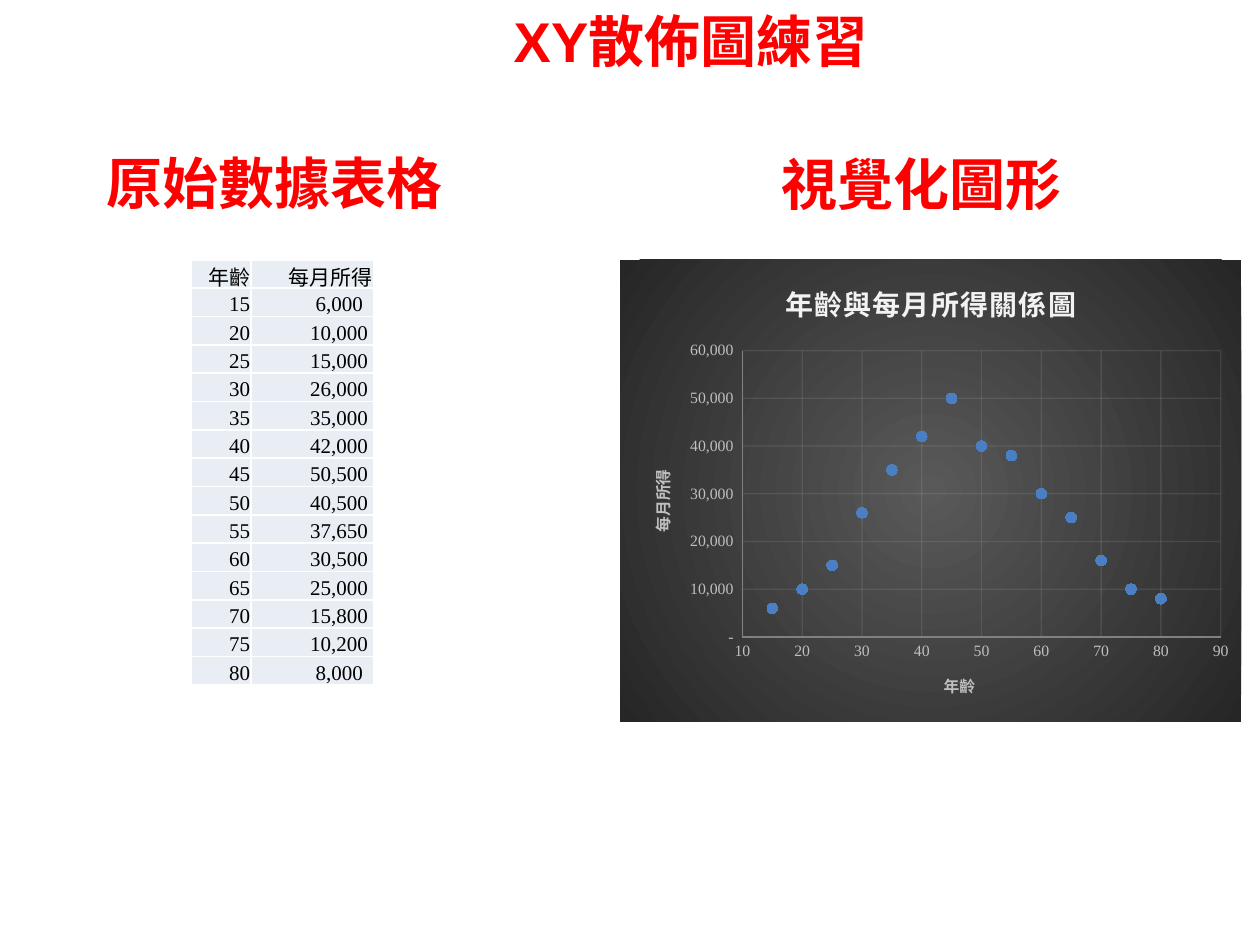
from dataclasses import dataclass
from typing import Any, NamedTuple

from pptx import Presentation, oxml, util as u
from pptx.chart import data
from pptx.dml import color
from pptx.enum import chart as charts, text
from pptx.oxml import ns

Pt = u.Pt


@dataclass(frozen=True)
class Theme:
    """Colours, fonts and type sizes."""
    heading: str = "FF0000"
    ink: str = "000000"
    cell: str = "E9EDF4"
    border: str = "FFFFFF"
    chart_title: str = "F2F2F2"
    axis_text: str = "BFBFBF"
    axis_line: str = "808080"
    grid: str = "F2F2F2"
    marker: str = "4A80C3"
    glow: str = "595959"
    shade: str = "262626"
    heading_font: str = "Arial"
    body_font: str = "Times New Roman"
    heading_size: float = 32
    table_size: float = 12
    title_size: float = 16
    axis_size: float = 9


class Heading(NamedTuple):
    """A heading and its box in points."""
    words: str
    left: float
    top: float
    width: float


class AxisPlan(NamedTuple):
    """Title, range and number format of one axis."""
    title: str
    low: float
    high: float
    step: float
    number_format: str


THEME = Theme()
AGE, INCOME = "年齡", "每月所得"
HEADINGS = [
    Heading("XY散佈圖練習", 286.5, 0, 357),
    Heading("原始數據表格", 54, 81.5, 215),
    Heading("視覺化圖形", 439.5, 82, 215),
]
AGES = range(15, 85, 5)
INCOMES = [6000, 10000, 15000, 26000, 35000, 42000, 50500,
           40500, 37650, 30500, 25000, 15800, 10200, 8000]
AGE_AXIS = AxisPlan(AGE, 10, 90, 10, "0")
INCOME_AXIS = AxisPlan(INCOME, 0, 60000, 10000, '#,##0_);(#,##0);"-"_)')


def rgb(code: str) -> color.RGBColor:
    """Turn a hex code into a colour."""
    return color.RGBColor.from_string(code)


def apply(target: Any, **values: Any) -> None:
    """Set each named attribute on the target."""
    for key, value in values.items():
        setattr(target, key, value)


def style_font(font: Any, name: str, size: float, code: str, bold: bool = False) -> None:
    """Give a font its face, size, weight and colour."""
    apply(font, name=name, size=Pt(size), bold=bold)
    font.color.rgb = rgb(code)


def add_heading(slide: Any, heading: Heading) -> None:
    """Add one red heading."""
    box = slide.shapes.add_textbox(*map(Pt, (heading.left, heading.top, heading.width, 46)))
    frame = box.text_frame
    apply(frame, word_wrap=True, auto_size=text.MSO_AUTO_SIZE.SHAPE_TO_FIT_TEXT)
    run = frame.paragraphs[0].add_run()
    run.text = heading.words
    style_font(run.font, THEME.heading_font, THEME.heading_size, THEME.heading, True)


def fill_cell(cell: Any, words: str, right_margin: float) -> None:
    """Write a right-aligned cell with white borders."""
    apply(cell, text=words, vertical_anchor=text.MSO_ANCHOR.BOTTOM,
          margin_left=Pt(0.5), margin_right=Pt(right_margin),
          margin_top=Pt(0.5), margin_bottom=0)
    paragraph = cell.text_frame.paragraphs[0]
    paragraph.alignment = text.PP_ALIGN.RIGHT
    style_font(paragraph.runs[0].font, THEME.body_font, THEME.table_size, THEME.ink)
    properties = cell._tc.get_or_add_tcPr()
    for side in "LRTB":
        properties.append(oxml.parse_xml(
            f'<a:ln{side} {ns.nsdecls("a")} w="12700"><a:solidFill>'
            f'<a:srgbClr val="{THEME.border}"/></a:solidFill></a:ln{side}>'))
    cell.fill.solid()
    cell.fill.fore_color.rgb = rgb(THEME.cell)


def right_margin(row: int, column: int, words: str) -> float:
    """Indent incomes from the right, four-digit ones a little more."""
    if not (row and column):
        return 0.5
    return 6 if len(words) < len("10,000") else 3.2


def add_income_table(slide: Any) -> None:
    """Add the table of ages and monthly incomes."""
    rows = [(AGE, INCOME)] + [(str(a), f"{i:,}") for a, i in zip(AGES, INCOMES)]
    row_height = 16.2
    table = slide.shapes.add_table(
        len(rows), 2, Pt(109.4), Pt(148.5), Pt(104), Pt(row_height * len(rows))).table
    apply(table, first_row=False, horz_banding=False)
    for column, width in zip(table.columns, (34, 70)):
        column.width = Pt(width)
    for r, words in enumerate(rows):
        table.rows[r].height = Pt(row_height)
        for c, word in enumerate(words):
            fill_cell(table.cell(r, c), word, right_margin(r, c, word))


def set_chart_title(owner: Any, words: str, size: float, code: str) -> Any:
    """Title a chart or an axis and return the run."""
    owner.has_title = True
    frame = (owner.chart_title if hasattr(owner, "chart_title") else owner.axis_title).text_frame
    run = frame.paragraphs[0].add_run()
    run.text = words
    style_font(run.font, THEME.body_font, size, code, True)
    return run


def style_axis(axis: Any, plan: AxisPlan) -> None:
    """Set the scale, labels, title and faint grid of an axis."""
    apply(axis, minimum_scale=plan.low, maximum_scale=plan.high, major_unit=plan.step,
          major_tick_mark=charts.XL_TICK_MARK.NONE, minor_tick_mark=charts.XL_TICK_MARK.NONE,
          has_major_gridlines=True)
    apply(axis.tick_labels, number_format=plan.number_format, number_format_is_linked=False)
    style_font(axis.tick_labels.font, THEME.body_font, THEME.axis_size, THEME.axis_text)
    set_chart_title(axis, plan.title, THEME.axis_size, THEME.axis_text)
    grid = axis.major_gridlines.format.line
    for line, code in ((axis.format.line, THEME.axis_line), (grid, THEME.grid)):
        line.width = Pt(0.75)
        line.color.rgb = rgb(code)
    shade = grid._ln.find(".//" + ns.qn("a:srgbClr"))
    shade.append(oxml.parse_xml(f'<a:alpha {ns.nsdecls("a")} val="10000"/>'))


def set_chart_area(chart: Any) -> None:
    """Give the chart square corners, a radial fill and a fixed plot area."""
    space = chart._chartSpace
    space.find(ns.qn("c:chart")).addprevious(
        oxml.parse_xml(f'<c:roundedCorners {ns.nsdecls("c")} val="0"/>'))
    stops = "".join(f'<a:gs pos="{place}"><a:srgbClr val="{code}"/></a:gs>'
                    for place, code in ((0, THEME.glow), (100000, THEME.shade)))
    space.find(ns.qn("c:chart")).addnext(oxml.parse_xml(
        f'<c:spPr {ns.nsdecls("c", "a")}><a:gradFill><a:gsLst>{stops}</a:gsLst>'
        '<a:path path="circle"><a:fillToRect l="50000" t="50000" r="50000" b="50000"/></a:path>'
        '</a:gradFill><a:ln><a:noFill/></a:ln></c:spPr>'))
    plot_area = space.find(".//" + ns.qn("c:plotArea"))
    for layout in plot_area.findall(ns.qn("c:layout")):
        plot_area.remove(layout)
    modes = '<c:layoutTarget val="inner"/><c:xMode val="edge"/><c:yMode val="edge"/>'
    sizes = "".join(f'<c:{key} val="{share}"/>'
                    for key, share in dict(x=0.197, y=0.197, w=0.77, h=0.62).items())
    plot_area.insert(0, oxml.parse_xml(
        f'<c:layout {ns.nsdecls("c")}><c:manualLayout>{modes}{sizes}</c:manualLayout></c:layout>'))


def add_income_chart(slide: Any) -> None:
    """Add the scatter chart of income by age, to the nearest thousand."""
    points = data.XyChartData()
    incomes = points.add_series(INCOME)
    for age, income in zip(AGES, INCOMES):
        incomes.add_data_point(age, round(income, -3))
    chart = slide.shapes.add_chart(
        charts.XL_CHART_TYPE.XY_SCATTER, Pt(354.3), Pt(148.4), Pt(355), Pt(264), points).chart
    style_font(chart.font, THEME.body_font, 10, THEME.ink)
    chart.has_legend = False
    title = set_chart_title(chart, f"{AGE}與{INCOME}關係圖", THEME.title_size, THEME.chart_title)
    title.font._element.set("spc", "100")
    style_axis(chart.category_axis, AGE_AXIS)
    style_axis(chart.value_axis, INCOME_AXIS)
    chart.plots[0].vary_by_categories = False
    series = chart.plots[0].series[0]
    series.format.line.fill.background()
    apply(series.marker, style=charts.XL_MARKER_STYLE.CIRCLE, size=6)
    series.marker.format.fill.solid()
    series.marker.format.fill.fore_color.rgb = rgb(THEME.marker)
    series.marker.format.line.fill.background()
    set_chart_area(chart)


def main() -> None:
    """Build and save the slide."""
    deck = Presentation()
    apply(deck, slide_width=Pt(720), slide_height=Pt(540))
    slide = deck.slides.add_slide(deck.slide_layouts[6])
    for heading in HEADINGS:
        add_heading(slide, heading)
    add_income_table(slide)
    add_income_chart(slide)
    deck.save("out.pptx")


main()
